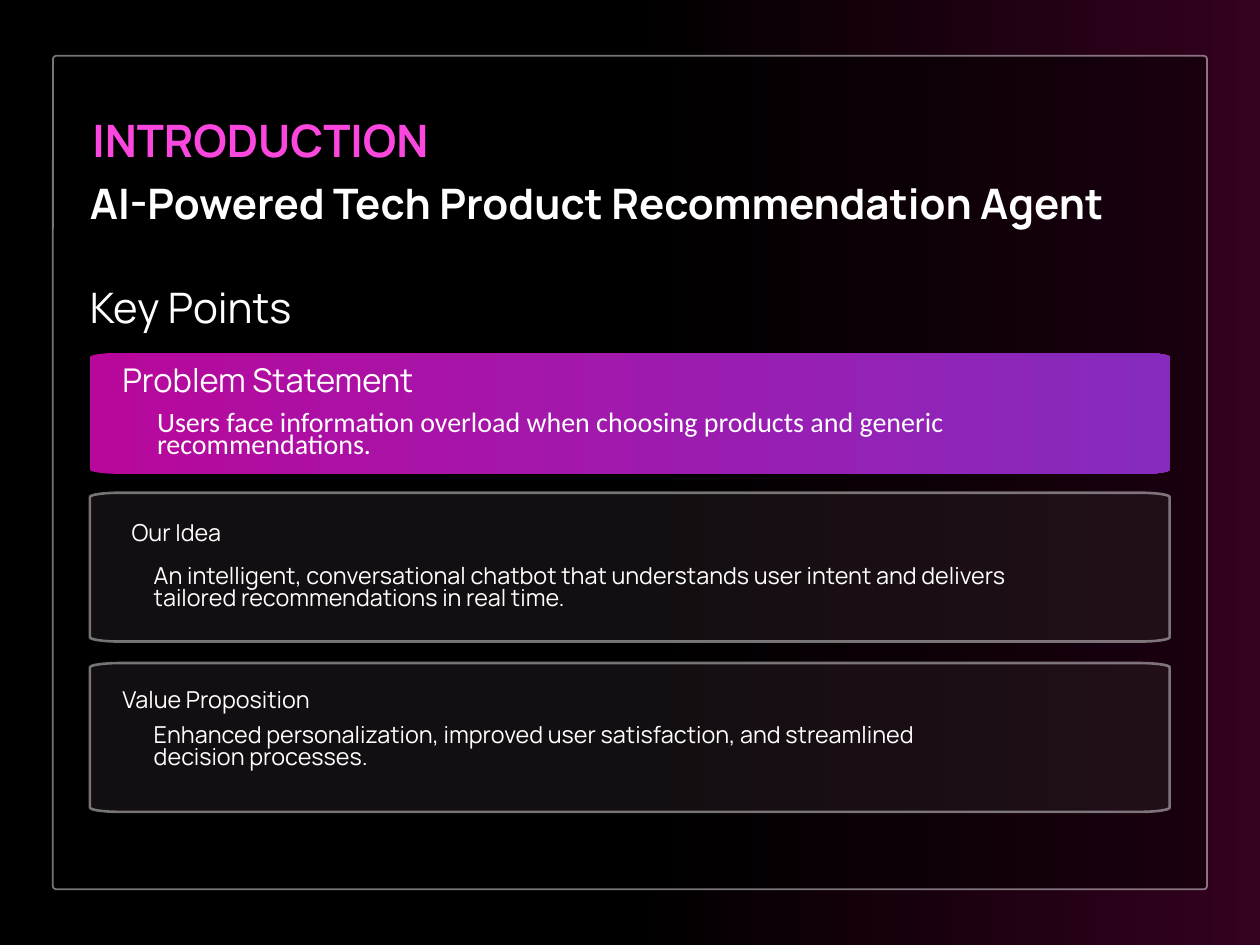
from dataclasses import dataclass

from lxml.etree import SubElement
from pptx import Presentation
from pptx.dml.color import RGBColor
from pptx.enum.shapes import MSO_SHAPE
from pptx.enum.text import MSO_ANCHOR, MSO_AUTO_SIZE, PP_ALIGN
from pptx.oxml.ns import qn
from pptx.util import Cm, Pt


@dataclass(frozen=True)
class Theme:
    font: str = "Manrope"
    alt_font: str = "Calibri"
    black: str = "000000"
    white: str = "FFFFFF"
    pink: str = "FB47DE"
    card: str = "2C2227"
    glow: str = "34011F"
    magenta: str = "B8089C"
    violet: str = "872BBF"
    title: float = 38.3
    heading: float = 36
    lead: float = 28
    lead_body: float = 24
    body: float = 20


def write(sp, text, *, size, color, font, spacing, bold=False, align=PP_ALIGN.LEFT):
    """Put one formatted paragraph into a text shape without margins."""
    tf = sp.text_frame
    tf.word_wrap = True
    tf.auto_size = MSO_AUTO_SIZE.SHAPE_TO_FIT_TEXT
    tf.vertical_anchor = MSO_ANCHOR.TOP
    tf.margin_left = tf.margin_top = tf.margin_right = tf.margin_bottom = 0
    p = tf.paragraphs[0]
    p.alignment = align
    p.line_spacing = Pt(spacing)
    r = p.add_run()
    r.text = text
    r.font.name = font
    r.font.size = Pt(size)
    r.font.bold = bold
    r.font.color.rgb = RGBColor.from_string(color)


def set_gradient(fill, element, stops):
    """Left-to-right gradient from (percent, colour) stops."""
    fill.gradient()
    fill.gradient_angle = 0
    stop_list = next(element.iter(qn("a:gsLst")))
    for gs in list(stop_list):
        stop_list.remove(gs)
    for percent, color in stops:
        gs = SubElement(stop_list, qn("a:gs"), pos=str(percent * 1000))
        SubElement(gs, qn("a:srgbClr"), val=color)


def round_corners(sp):
    """Turn every second line segment of an outline into a quarter ellipse."""
    points = [(int(pt.get("x")), int(pt.get("y"))) for pt in sp.element.iter(qn("a:pt"))]
    for i, segment in enumerate(list(sp.element.iter(qn("a:lnTo")))):
        if i % 2 == 0:
            continue
        start, end = points[i], points[i + 1]
        corner = (end[0], start[1]) if i % 4 == 1 else (start[0], end[1])
        segment.tag = qn("a:cubicBezTo")
        segment.remove(segment[0])
        controls = [tuple(round(a + 0.55 * (c - a)) for a, c in zip(anchor, corner))
                    for anchor in (start, end)]
        for x, y in (*controls, end):
            SubElement(segment, qn("a:pt"), x=str(x), y=str(y))


class SlideBuilder:
    def __init__(self, prs, theme):
        self.theme = theme
        self.s = prs.slides.add_slide(prs.slide_layouts[5])

    def background(self, stops):
        set_gradient(self.s.background.fill, self.s.element, stops)

    def panel(self, sp, color, opacity, line_width):
        """Translucent fill with a translucent white outline."""
        sp.shadow.inherit = False
        sp.line.width = Pt(line_width)
        for fill, rgb in ((sp.fill, color), (sp.line.fill, self.theme.white)):
            fill.solid()
            fill.fore_color.rgb = RGBColor.from_string(rgb)
        for solid in sp.element.spPr.iter(qn("a:solidFill")):
            SubElement(solid[0], qn("a:alpha"), val=str(opacity * 1000))

    def frame(self, left, top, width, height):
        """Thin frame behind everything else."""
        shapes = self.s.shapes
        sp = shapes.add_shape(MSO_SHAPE.ROUNDED_RECTANGLE, Cm(left), Cm(top),
                              Cm(width), Cm(height))
        sp.adjustments[0] = 0.004
        self.panel(sp, self.theme.black, 45, 1.5)
        shapes.title.element.addprevious(sp.element)

    def card(self, left, top, width, height, gradient=None):
        """Rectangle with wide, flat elliptical corners."""
        rx, ry = 0.9, 0.13
        right, bottom = left + width, top + height
        points = [(left + rx, top), (right - rx, top), (right, top + ry),
                  (right, bottom - ry), (right - rx, bottom), (left + rx, bottom),
                  (left, bottom - ry), (left, top + ry), (left + rx, top)]
        start, *rest = [(Cm(x), Cm(y)) for x, y in points]
        fb = self.s.shapes.build_freeform(*start)
        fb.add_line_segments(rest, close=True)
        sp = fb.convert_to_shape()
        round_corners(sp)
        if gradient:
            sp.shadow.inherit = False
            set_gradient(sp.fill, sp.element, gradient)
            sp.line.fill.background()
        else:
            self.panel(sp, self.theme.card, 44, 2.25)

    def title(self, text, left, top, width, height, **fmt):
        sp = self.s.shapes.title
        sp.left, sp.top, sp.width, sp.height = Cm(left), Cm(top), Cm(width), Cm(height)
        write(sp, text, **fmt)

    def text(self, text, left, top, width, height, **fmt):
        sp = self.s.shapes.add_textbox(Cm(left), Cm(top), Cm(width), Cm(height))
        fmt = {"color": self.theme.white, "font": self.theme.font, **fmt}
        write(sp, text, **fmt)


def main():
    t = Theme()
    prs = Presentation()
    prs.slide_width, prs.slide_height = Cm(38.1), Cm(28.575)
    b = SlideBuilder(prs, t)

    # Backdrop
    b.background([(0, t.black), (50, t.black), (100, t.glow)])
    b.frame(1.6, 1.69, 34.9, 25.2)

    # Headings
    left, width = 2.72, 32.65
    b.title("INTRODUCTION", 2.79, 3.6, 19.86, 1.47, size=t.title, color=t.pink,
            font=t.font, spacing=40.6, bold=True)
    b.text("AI-Powered Tech Product Recommendation Agent", left, 5.36, width, 1.52,
           size=t.heading, spacing=43.6, bold=True)
    b.text("Key Points", left, 9.07, 7.52, 1.07, size=t.heading, spacing=27.4)

    # Cards: top, height, gradient, then heading and body as
    # (text, left, offset from card top, width, height, format)
    cards = [
        (10.67, 3.66, [(0, t.magenta), (100, t.violet)],
         ("Problem Statement", 3.7, 0.43, 25.93, 0.99, {"size": t.lead}),
         ("Users face information overload when choosing products and generic "
          "recommendations.", 4.75, 1.89, 29.85, 1.45,
          {"size": t.lead_body, "font": t.alt_font})),
        (14.9, 4.5, None,
         ("Our Idea", 3.38, 0.64, 3.91, 0.91,
          {"size": t.body, "align": PP_ALIGN.CENTER}),
         ("An intelligent, conversational chatbot that understands user intent and "
          "delivers tailored recommendations in real time.", 4.65, 2.23, 25.93, 1.37,
          {"size": t.body})),
        (20.05, 4.5, None,
         ("Value Proposition", 3.7, 0.55, 8.33, 0.91, {"size": t.body}),
         ("Enhanced personalization, improved user satisfaction, and streamlined "
          "decision processes.", 4.65, 1.89, 25.55, 1.37, {"size": t.body})),
    ]
    for top, height, gradient, heading, body in cards:
        b.card(left, top, width, height, gradient)
        for (text, x, dy, w, h, fmt), spacing in ((heading, 27.4), (body, 19.3)):
            b.text(text, x, top + dy, w, h, spacing=spacing, **fmt)

    prs.save("out.pptx")


if __name__ == "__main__":
    main()
